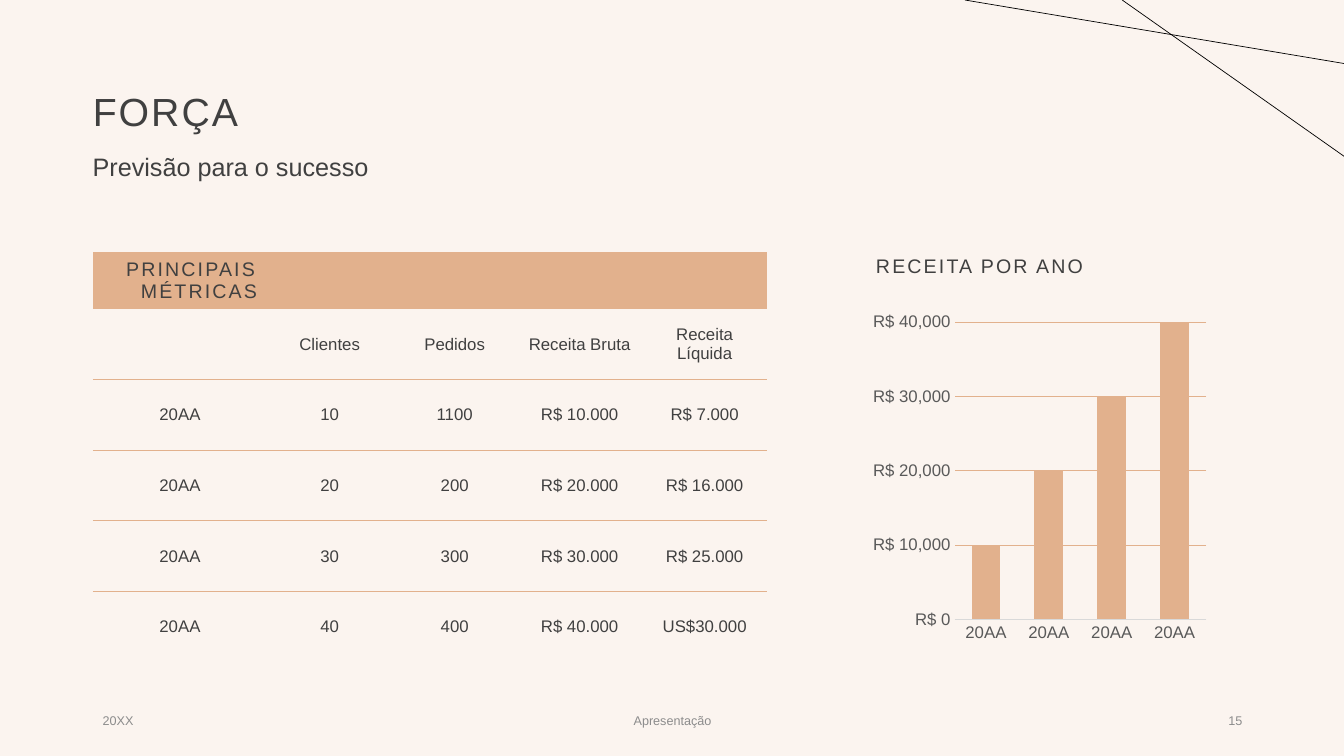
import pptx
import pptx.chart.data
import pptx.dml.color
import pptx.enum.chart
import pptx.enum.shapes
import pptx.enum.text
import pptx.oxml
import pptx.oxml.ns
import pptx.util
from dataclasses import dataclass

Inches, Pt = pptx.util.Inches, pptx.util.Pt
RGB = pptx.dml.color.RGBColor.from_string
ALIGN, ANCHOR = pptx.enum.text.PP_ALIGN, pptx.enum.text.MSO_ANCHOR
qn = pptx.oxml.ns.qn
NS = pptx.oxml.ns.nsdecls("a")


@dataclass(frozen=True)
class Theme:
    font: str = "Arial"
    bg: str = "FBF4EF"
    accent: str = "E2B18D"
    text: str = "404040"
    axis_text: str = "595959"
    axis_line: str = "D9D9D9"
    muted: str = "8C8C8C"
    line: str = "000000"
    title: int = 28
    subtitle: int = 18
    heading: int = 14
    body: int = 12
    footer: int = 9


T = Theme()


def write(tf, text, size=T.body, color=T.text, align=ALIGN.LEFT, spacing=0,
          line_spacing=None, before=None):
    tf.word_wrap = True
    p = tf.paragraphs[0]
    p.alignment, p.line_spacing = align, line_spacing
    if before is not None:
        p.space_before = Pt(before)
    r = p.add_run()
    r.text = text
    r.font.name, r.font.size = T.font, Pt(size)
    r.font.color.rgb = RGB(color)
    if spacing:
        r.font._element.set("spc", str(int(spacing * 100)))


prs = pptx.Presentation()
prs.slide_width, prs.slide_height = Inches(13.33), Inches(7.5)
s = prs.slides.add_slide(prs.slide_layouts[5])
s.background.fill.solid()
s.background.fill.fore_color.rgb = RGB(T.bg)

# Title
title = s.shapes.title
title.left, title.top = Inches(0.92), Inches(0.4)
title.width, title.height = Inches(11.5), Inches(1.45)
tf = title.text_frame
tf.margin_left = 0
tf.vertical_anchor = ANCHOR.MIDDLE
write(tf, "FORÇA", size=T.title, spacing=1.5, line_spacing=0.9)

# Subtitle, chart heading and footer
body = dict(line_spacing=0.9, before=10)
footer = dict(size=T.footer, color=T.muted)
for box, anchor, text, fmt in [
    ((0.82, 1.49, 7.4, 0.54), ANCHOR.TOP, "Previsão para o sucesso",
     dict(size=T.subtitle, **body)),
    ((8.59, 2.5, 3.44, 0.34), ANCHOR.TOP, "RECEITA POR ANO",
     dict(size=T.heading, spacing=1.5, **body)),
    ((0.92, 6.95, 3, 0.4), ANCHOR.MIDDLE, "20XX", footer),
    ((4.42, 6.95, 4.5, 0.4), ANCHOR.MIDDLE, "Apresentação",
     dict(align=ALIGN.CENTER, **footer)),
    ((9.42, 6.95, 3, 0.4), ANCHOR.MIDDLE, "15",
     dict(align=ALIGN.RIGHT, **footer)),
]:
    tf = s.shapes.add_textbox(*map(Inches, box)).text_frame
    tf.vertical_anchor = anchor
    write(tf, text, **fmt)

# Metrics table
rows = [
    ["PRINCIPAIS MÉTRICAS", "", "", "", ""],
    ["", "Clientes", "Pedidos", "Receita Bruta", "Receita Líquida"],
    ["20AA", "10", "1100", "R$ 10.000", "R$ 7.000"],
    ["20AA", "20", "200", "R$ 20.000", "R$ 16.000"],
    ["20AA", "30", "300", "R$ 30.000", "R$ 25.000"],
    ["20AA", "40", "400", "R$ 40.000", "US$30.000"],
]
table = s.shapes.add_table(len(rows), len(rows[0]), Inches(0.92), Inches(2.5),
                           Inches(6.67), Inches(4.06)).table
table.first_row = table.horz_banding = False
# Built-in "No Style, No Grid" table style
table._tbl.tblPr.find(qn("a:tableStyleId")).text = "{2D5ABB26-0587-4C30-8999-92F81FD0307C}"
for j, col in enumerate(table.columns):
    col.width = Inches(1.24 if j else 1.73)
for i, row in enumerate(rows):
    table.rows[i].height = Inches(0.7 if i else 0.34)
    for j, text in enumerate(row):
        cell = table.cell(i, j)
        cell.vertical_anchor = ANCHOR.MIDDLE
        if text and i == 0:
            write(cell.text_frame, text, size=T.heading, align=ALIGN.RIGHT, spacing=1.5)
        elif text:
            write(cell.text_frame, text, align=ALIGN.CENTER)
        if 0 < i < len(rows) - 1:
            cell._tc.get_or_add_tcPr().append(pptx.oxml.parse_xml(
                f'<a:lnB {NS} w="{Pt(1)}"><a:solidFill><a:srgbClr val="{T.accent}"/>'
                '</a:solidFill></a:lnB>'))
        if i == 0:
            cell.fill.solid()
            cell.fill.fore_color.rgb = RGB(T.accent)
        else:
            cell.fill.background()

# Revenue chart
data = pptx.chart.data.CategoryChartData()
data.categories = ["20AA"] * 4
data.add_series("Series 1", [10000, 20000, 30000, 40000])
chart = s.shapes.add_chart(pptx.enum.chart.XL_CHART_TYPE.COLUMN_CLUSTERED,
                           Inches(8.59), Inches(3.04), Inches(3.44), Inches(3.39),
                           data).chart
chart.has_title = chart.has_legend = False
chart.font.name, chart.font.size = T.font, Pt(T.body)
chart.font.color.rgb = RGB(T.axis_text)
plot = chart.plots[0]
plot.gap_width, plot.overlap, plot.vary_by_categories = 118, -3, False
fill = plot.series[0].format.fill
fill.solid()
fill.fore_color.rgb = RGB(T.accent)

cat, val = chart.category_axis, chart.value_axis
for axis in (cat, val):
    axis.major_tick_mark = axis.minor_tick_mark = pptx.enum.chart.XL_TICK_MARK.NONE
val.minimum_scale, val.maximum_scale, val.major_unit = 0, 40000, 10000
val.tick_labels.number_format = '"R$"\\ #,##0'
val.tick_labels.number_format_is_linked = False
val.format.line.fill.background()
for line, color in [(cat.format.line, T.axis_line),
                    (val.major_gridlines.format.line, T.accent)]:
    line.color.rgb, line.width = RGB(color), Pt(0.75)

# Corner lines
for x, y in [(11.13, 1.55), (9.57, 0.63)]:
    ln = s.shapes.add_connector(pptx.enum.shapes.MSO_CONNECTOR.STRAIGHT,
                                Inches(x), 0, prs.slide_width, Inches(y))
    ln.line.color.rgb, ln.line.width = RGB(T.line), Pt(0.5)
    ln._element.spPr.append(pptx.oxml.parse_xml(f"<a:effectLst {NS}/>"))

prs.save("out.pptx")
